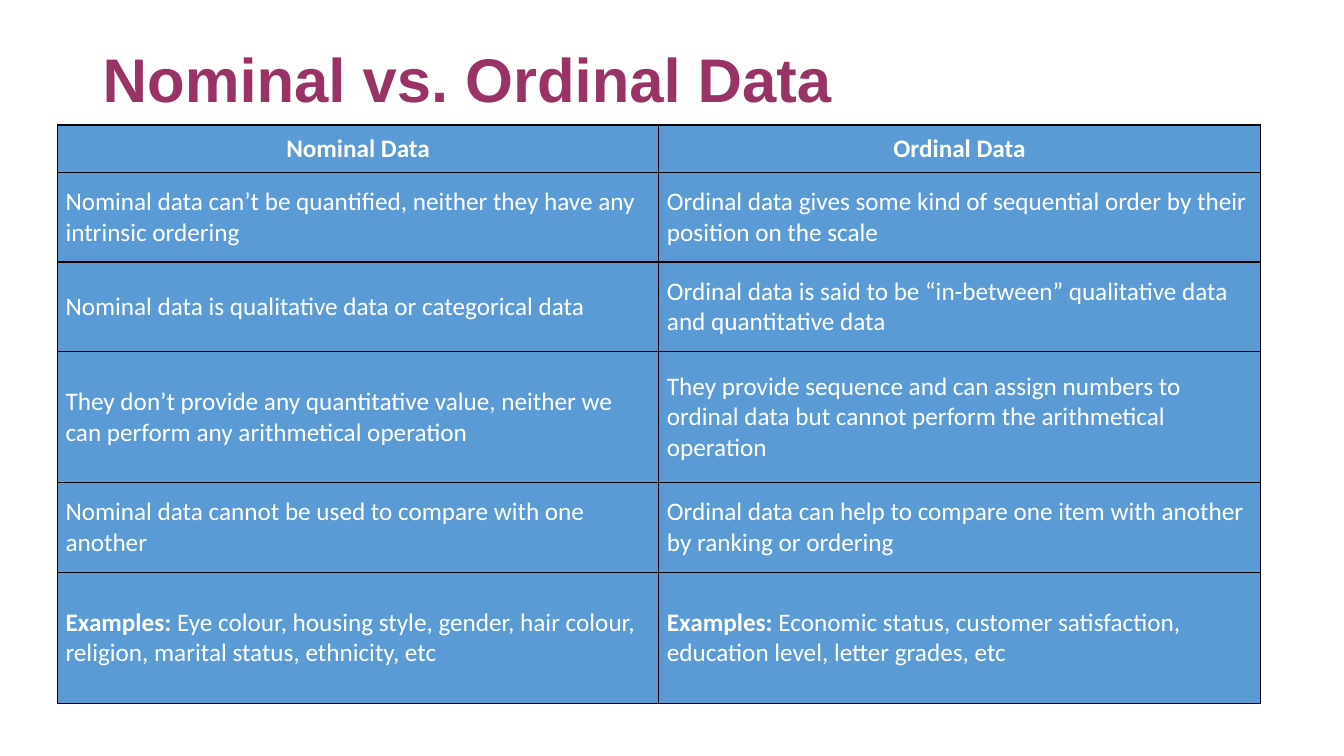
from lxml import etree
from pptx import Presentation
from pptx.dml.color import RGBColor
from pptx.enum.text import MSO_ANCHOR, PP_ALIGN
from pptx.oxml.ns import qn
from pptx.util import Inches, Pt

COLORS = {"title": "993366", "cell": "5B9BD5", "text": "FFFFFF", "border": "000000"}
ROW_HEIGHTS = [0.47, 0.89, 0.89, 1.3, 0.89, 1.3]
LABEL = "Examples:"
COMPARISON = [
    ("Nominal Data", "Ordinal Data"),
    ("Nominal data can’t be quantified, neither they have any intrinsic ordering",
     "Ordinal data gives some kind of sequential order by their position on the scale"),
    ("Nominal data is qualitative data or categorical data",
     "Ordinal data is said to be “in-between” qualitative data and quantitative data"),
    ("They don’t provide any quantitative value, neither we can perform any arithmetical operation",
     "They provide sequence and can assign numbers to ordinal data but cannot perform "
     "the arithmetical operation"),
    ("Nominal data cannot be used to compare with one another",
     "Ordinal data can help to compare one item with another by ranking or ordering"),
    ("Examples: Eye colour, housing style, gender, hair colour, religion, marital status, "
     "ethnicity, etc",
     "Examples: Economic status, customer satisfaction, education level, letter grades, etc"),
]


def style_font(font, name, size, color, bold):
    font.name, font.size, font.bold = name, Pt(size), bold
    font.color.rgb = RGBColor.from_string(COLORS[color])


def add_borders(cell):
    properties = cell._tc.get_or_add_tcPr()
    for side in ("lnL", "lnR", "lnT", "lnB"):
        line = etree.SubElement(properties, qn(f"a:{side}"), w=str(Pt(1)))
        fill = etree.SubElement(line, qn("a:solidFill"))
        etree.SubElement(fill, qn("a:srgbClr"), val=COLORS["border"])


prs = Presentation()
prs.slide_width, prs.slide_height = Inches(13.33), Inches(7.5)
slide = prs.slides.add_slide(prs.slide_layouts[6])

# Title
title = slide.shapes.add_textbox(Inches(0.92), Inches(0.4), Inches(11.5), Inches(1.45)).text_frame
title.word_wrap = True
title.margin_top = Inches(0.09)
title.text = "Nominal vs. Ordinal Data"
heading = title.paragraphs[0]
heading.line_spacing = 0.9
style_font(heading.runs[0].font, "Arial", 44, "title", True)

# Comparison table
table = slide.shapes.add_table(len(COMPARISON), 2, Inches(0.57), Inches(1.24),
                               Inches(11.93), Inches(sum(ROW_HEIGHTS))).table
table.horz_banding = False
for row, height in zip(table.rows, ROW_HEIGHTS):
    row.height = Inches(height)

for row_index, statements in enumerate(COMPARISON):
    is_header = row_index == 0
    for column_index, statement in enumerate(statements):
        cell = table.cell(row_index, column_index)
        add_borders(cell)
        cell.fill.solid()
        cell.fill.fore_color.rgb = RGBColor.from_string(COLORS["cell"])
        cell.vertical_anchor = MSO_ANCHOR.MIDDLE
        cell.margin_left = cell.margin_right = Inches(0.08)
        cell.margin_top = cell.margin_bottom = Inches(0.02)

        # The label that opens the last row is bold
        label = LABEL if statement.startswith(LABEL) else ""
        paragraph = cell.text_frame.paragraphs[0]
        paragraph.alignment = PP_ALIGN.CENTER if is_header else PP_ALIGN.LEFT
        for part, bold in ((label, True), (statement.removeprefix(label), is_header)):
            if part:
                run = paragraph.add_run()
                run.text = part
                style_font(run.font, "Calibri", 18, "text", bold)

prs.save("out.pptx")
